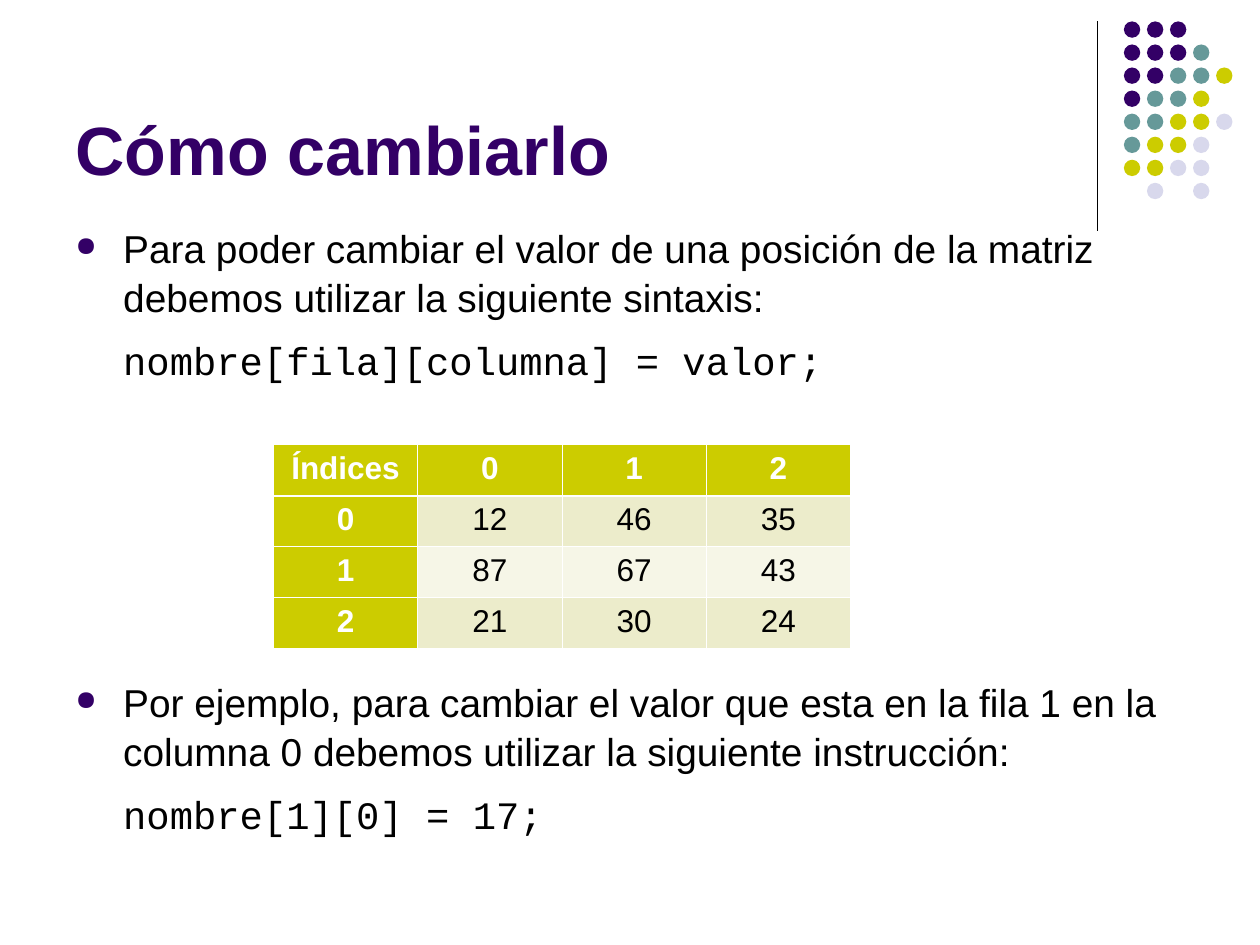
from lxml import etree
from pptx import Presentation
from pptx import util as u
from pptx.dml import color
from pptx.enum import shapes, text
from pptx.oxml import ns

HUES = {
    "plum": "330066", "teal": "669999", "lime": "CCCC00", "mist": "D8D8EC",
    "black": "000000", "white": "FFFFFF", "band": "ECECCB", "pale": "F6F6E7",
}
DOTS = ["PPP", "PPPT", "PPTTL", "PTTL", "TTLLM", "TLLM", "LLMM", " M M"]
KEYS = {"P": "plum", "T": "teal", "L": "lime", "M": "mist"}
GRID = [
    ["Índices", "0", "1", "2"],
    ["0", "12", "46", "35"],
    ["1", "87", "67", "43"],
    ["2", "21", "30", "24"],
]
BODY = [
    ("Para poder cambiar el valor de una posición de la matriz "
     "debemos utilizar la siguiente sintaxis:", "nombre[fila][columna] = valor;", 6),
    ("Por ejemplo, para cambiar el valor que esta en la fila 1 en la "
     "columna 0 debemos utilizar la siguiente instrucción:", "nombre[1][0] = 17;", 168),
]


def rgb(name):
    return color.RGBColor.from_string(HUES[name])


def add_node(parent, tag, **attrs):
    node = etree.SubElement(parent, ns.qn(tag))
    for key, value in attrs.items():
        node.set(key, str(value))
    return node


def write(para, words, size=18, font="Arial", hue="black", bold=False,
          align=None, before=0, line=None):
    run = para.add_run()
    run.text = words
    run.font.size = u.Pt(size)
    run.font.name = font
    run.font.bold = bold
    run.font.color.rgb = rgb(hue)
    para.alignment = align
    para.space_before = u.Pt(before)
    para.line_spacing = line


def indent(para, bullet):
    props = para._p.get_or_add_pPr()
    props.set("marL", str(u.Inches(0.38)))
    props.set("indent", str(-u.Inches(0.38) if bullet else 0))
    if bullet:
        tint = add_node(props, "a:buClr")
        add_node(tint, "a:srgbClr", val=HUES["plum"])
        add_node(props, "a:buSzPct", val=70000)
        add_node(props, "a:buChar", char="●")


def add_box(slide, left, top, width, height, anchor):
    box = slide.shapes.add_textbox(*map(u.Inches, (left, top, width, height)))
    frame = box.text_frame
    frame.word_wrap = True
    frame.vertical_anchor = anchor
    return frame


def add_title(slide):
    frame = add_box(slide, 0.5, 0.13, 8.25, 1.42, text.MSO_ANCHOR.BOTTOM)
    write(frame.paragraphs[0], "Cómo cambiarlo", size=39, hue="plum", bold=True)


def add_body(slide):
    frame = add_box(slide, 0.5, 1.72, 9, 4.82, text.MSO_ANCHOR.TOP)
    para = frame.paragraphs[0]
    for words, code, gap in BODY:
        if para.runs:
            para = frame.add_paragraph()
        write(para, words, size=22.2, before=gap, line=1.04)
        indent(para, True)
        para = frame.add_paragraph()
        write(para, code, size=22.2, font="Courier New", before=8.5, line=1.04)
        indent(para, False)


def add_rule(slide):
    rule = slide.shapes.add_connector(
        shapes.MSO_CONNECTOR.STRAIGHT,
        *map(u.Inches, (8.71, 0.17, 8.71, 1.83)))
    rule.line.color.rgb = rgb("black")
    rule.line.width = u.Pt(0.75)
    add_node(rule._element.spPr, "a:effectLst")


def add_dots(slide):
    step, size = 0.183, 0.13
    for row, marks in enumerate(DOTS):
        for col, mark in enumerate(marks):
            if mark == " ":
                continue
            dot = slide.shapes.add_shape(
                shapes.MSO_SHAPE.OVAL,
                u.Inches(8.92 + col * step), u.Inches(0.17 + row * step),
                u.Inches(size), u.Inches(size))
            dot.shadow.inherit = False
            dot.fill.solid()
            dot.fill.fore_color.rgb = rgb(KEYS[mark])
            dot.line.fill.background()


def edge(cell, row):
    props = cell._tc.get_or_add_tcPr()
    widths = {"L": 0.45, "R": 0.45,
              "T": 1.47 if row == 1 else 0.45,
              "B": 1.47 if row == 0 else 0.45}
    for spot, (side, width) in enumerate(widths.items()):
        line = add_node(props, f"a:ln{side}", w=u.Pt(width))
        fill = add_node(line, "a:solidFill")
        add_node(fill, "a:srgbClr", val=HUES["white"])
        props.insert(spot, line)


def add_grid(slide):
    table = slide.shapes.add_table(
        len(GRID), len(GRID[0]),
        *map(u.Inches, (2.17, 3.53, 4.58, 1.62))).table
    for row, values in enumerate(GRID):
        for col, value in enumerate(values):
            cell = table.cell(row, col)
            head = row == 0 or col == 0
            cell.fill.solid()
            cell.fill.fore_color.rgb = rgb(
                "lime" if head else "band" if row % 2 else "pale")
            write(cell.text_frame.paragraphs[0], value, bold=head,
                  hue="white" if head else "black", align=text.PP_ALIGN.CENTER)
            edge(cell, row)


def main():
    deck = Presentation()
    deck.slide_width = u.Inches(10)
    deck.slide_height = u.Inches(7.5)
    slide = deck.slides.add_slide(deck.slide_layouts[6])
    add_rule(slide)
    add_dots(slide)
    add_title(slide)
    add_body(slide)
    add_grid(slide)
    deck.save("out.pptx")


if __name__ == "__main__":
    main()
